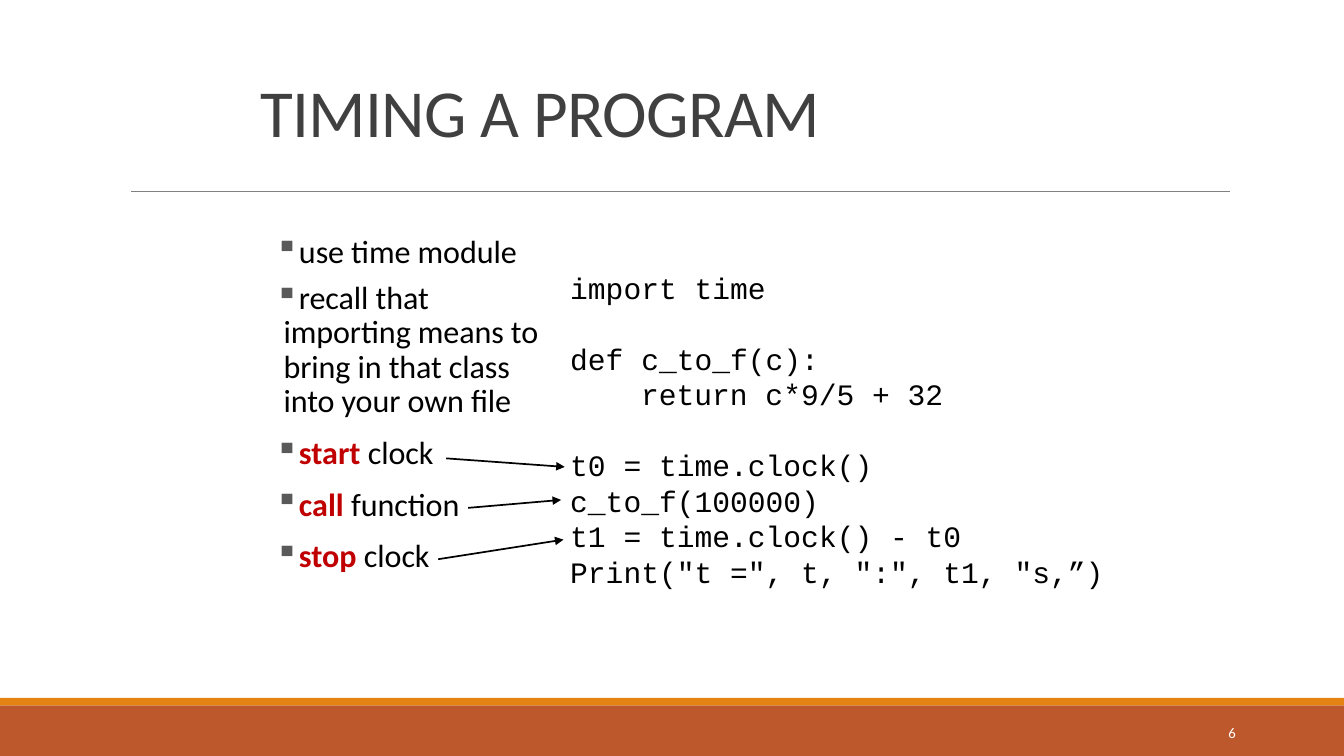
from lxml import etree
from pptx import Presentation
from pptx.dml.color import RGBColor
from pptx.enum.shapes import MSO_CONNECTOR, MSO_SHAPE
from pptx.enum.text import MSO_ANCHOR, PP_ALIGN
from pptx.oxml.ns import qn
from pptx.util import Inches, Pt

RECTANGLE = MSO_SHAPE.RECTANGLE
STRAIGHT = MSO_CONNECTOR.STRAIGHT
MIDDLE, TOP = MSO_ANCHOR.MIDDLE, MSO_ANCHOR.TOP
RIGHT = PP_ALIGN.RIGHT

RUST = RGBColor(0xBD, 0x58, 0x2C)
ORANGE = RGBColor(0xE4, 0x83, 0x12)
GRAY = RGBColor(0x80, 0x80, 0x80)
CHARCOAL = RGBColor(0x40, 0x40, 0x40)
BLACK = RGBColor(0, 0, 0)
RED = RGBColor(0xC0, 0, 0)
WHITE = RGBColor(0xFF, 0xFF, 0xFF)
BULLET_GRAY = "595959"

WIDTH, HEIGHT = 21.99, 12.37
CODE_PITCH = 41.85

# (highlighted word, rest, space before, left margin, first-line indent)
STEPS = [
    ("", "use time module", 0, 0.38, -0.36),
    ("", "recall that importing means to bring in that class into your own ﬁle",
     13.7, 0.16, -0.14),
    ("start ", "clock", 15.1, 0.38, -0.36),
    ("call ", "function", 15.7, 0.38, -0.36),
    ("stop ", "clock", 15.7, 0.38, -0.36),
]

# (code, blank lines above, left margin)
CODE = [
    ("import time", 0, 0.02),
    ("def c_to_f(c):", 1, 0.02),
    ("return c*9/5 + 32", 0, 1.18),
    ("t0 = time.clock()", 1, 0.02),
    ("c_to_f(100000)", 0, 0.02),
    ("t1 = time.clock() - t0", 0, 0.02),
    ('Print("t =", t, ":", t1, "s,”)', 0, 0.02),
]

# From each step to its code line
ARROWS = [
    (7.3, 7.5, 9.24, 7.64),
    (7.66, 8.31, 9.18, 8.18),
    (7.17, 9.15, 9.22, 8.83),
]


def add_text_frame(slide, left, top, width, height, anchor=TOP):
    box = slide.shapes.add_textbox(Inches(left), Inches(top), Inches(width), Inches(height))
    frame = box.text_frame
    frame.word_wrap = True
    frame.vertical_anchor = anchor
    frame.margin_left = frame.margin_right = frame.margin_top = frame.margin_bottom = 0
    return frame


def add_paragraph(frame, index, margin=0, indent=0, before=0):
    paragraph = frame.add_paragraph() if index else frame.paragraphs[0]
    properties = paragraph._p.get_or_add_pPr()
    properties.set("marL", str(Inches(margin)))
    properties.set("indent", str(Inches(indent)))
    paragraph.space_before = Pt(before)
    return paragraph


def add_run(paragraph, text, size, color, font="Calibri", bold=False, spacing=0):
    run = paragraph.add_run()
    run.text = text
    run.font.name = font
    run.font.size = Pt(size)
    run.font.bold = bold
    run.font.color.rgb = color
    if spacing:
        run._r.get_or_add_rPr().set("spc", str(round(spacing * 100)))


def add_bullet(paragraph):
    properties = paragraph._p.get_or_add_pPr()
    color = etree.SubElement(properties, qn("a:buClr"))
    etree.SubElement(color, qn("a:srgbClr"), val=BULLET_GRAY)
    etree.SubElement(properties, qn("a:buChar"), char="▪")


def add_line(slide, x1, y1, x2, y2, color, weight, arrow=False):
    line = slide.shapes.add_connector(STRAIGHT, Inches(x1), Inches(y1), Inches(x2), Inches(y2))
    line.line.color.rgb = color
    line.line.width = Pt(weight)
    if arrow:
        etree.SubElement(line.line._get_or_add_ln(), qn("a:tailEnd"),
                         type="triangle", w="lg", len="lg")
    etree.SubElement(line._element.spPr, qn("a:effectLst"))


def add_footer(slide, top, height):
    stripe = 0.12
    for color, y, depth in ((RUST, top + stripe, height - stripe), (ORANGE, top, stripe)):
        band = slide.shapes.add_shape(RECTANGLE, 0, Inches(y), Inches(WIDTH), Inches(depth))
        band.shadow.inherit = False
        band.fill.solid()
        band.fill.fore_color.rgb = color
        band.line.fill.background()
    frame = add_text_frame(slide, 17.85, top + 0.23, 2.37, 0.66, MIDDLE)
    number = add_paragraph(frame, 0)
    number.alignment = RIGHT
    add_run(number, "6", 17.3, WHITE)


def add_title(slide, left, top, width, height):
    frame = add_text_frame(slide, left, top, width, height, MIDDLE)
    add_run(add_paragraph(frame, 0, margin=0.02), "TIMING A PROGRAM", 79.2, CHARCOAL,
            spacing=-0.8)
    add_line(slide, 2.15, top + 2.05, 20.13, top + 2.05, GRAY, 0.5)


def add_steps(slide, left, top, width, height):
    frame = add_text_frame(slide, left, top, width, height)
    for index, (keyword, rest, before, margin, indent) in enumerate(STEPS):
        step = add_paragraph(frame, index, margin, indent, before)
        if margin < 0.38:
            step.line_spacing = Pt(40.7)
        add_bullet(step)
        if keyword:
            add_run(step, keyword, 37.8, RED, bold=True)
        add_run(step, rest, 37.8, BLACK, spacing=-0.1)


def add_code(slide, left, top, width, height):
    frame = add_text_frame(slide, left, top, width, height)
    for index, (code, blanks, margin) in enumerate(CODE):
        line = add_paragraph(frame, index, margin, before=blanks * CODE_PITCH)
        line.line_spacing = Pt(CODE_PITCH)
        add_run(line, code, 34.9, BLACK, font="Courier New")


def main():
    deck = Presentation()
    deck.slide_width, deck.slide_height = Inches(WIDTH), Inches(HEIGHT)
    slide = deck.slides.add_slide(deck.slide_layouts[6])
    add_footer(slide, 11.42, HEIGHT - 11.42)
    add_title(slide, 4.24, 1.08, 15, 1.47)
    add_steps(slide, 4.48, 3.78, 4.45, 5.7)
    add_code(slide, 9.31, 4.41, 9.5, 5.3)
    for arrow in ARROWS:
        add_line(slide, *arrow, BLACK, 2, arrow=True)
    deck.save("out.pptx")


if __name__ == "__main__":
    main()
